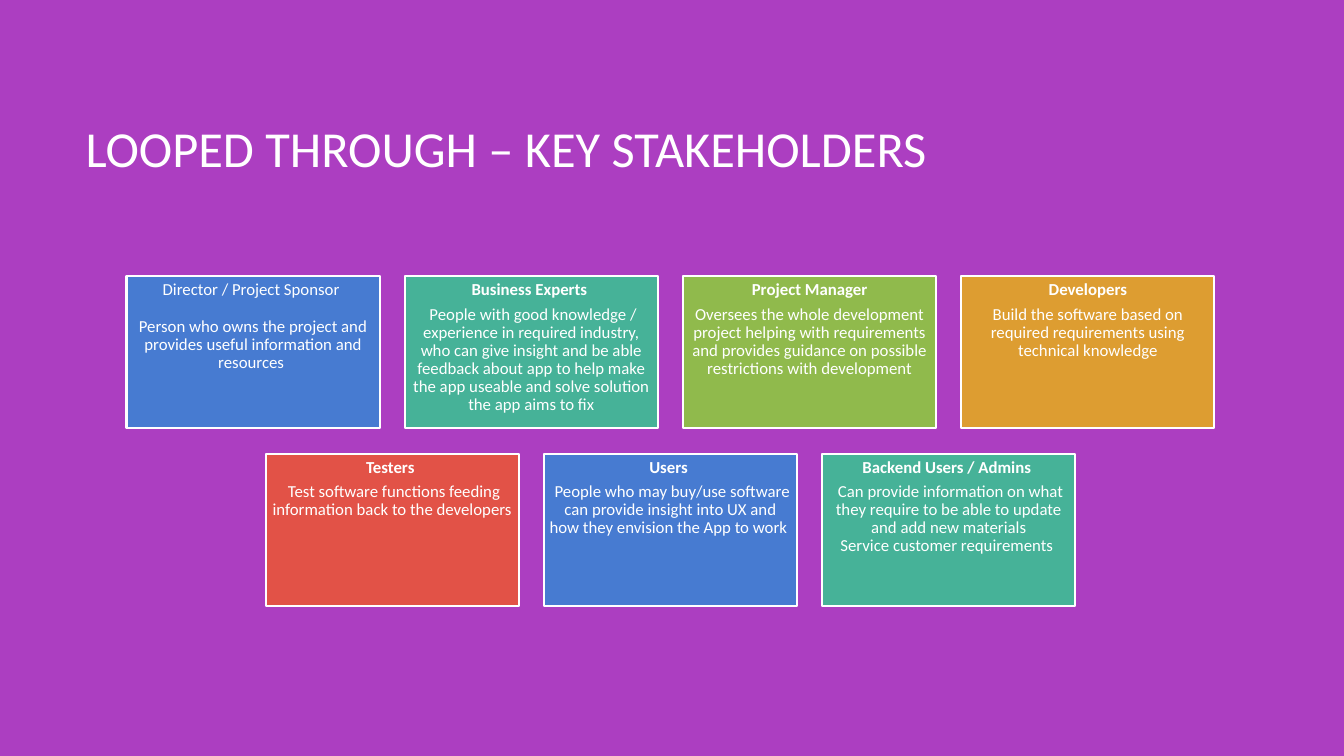
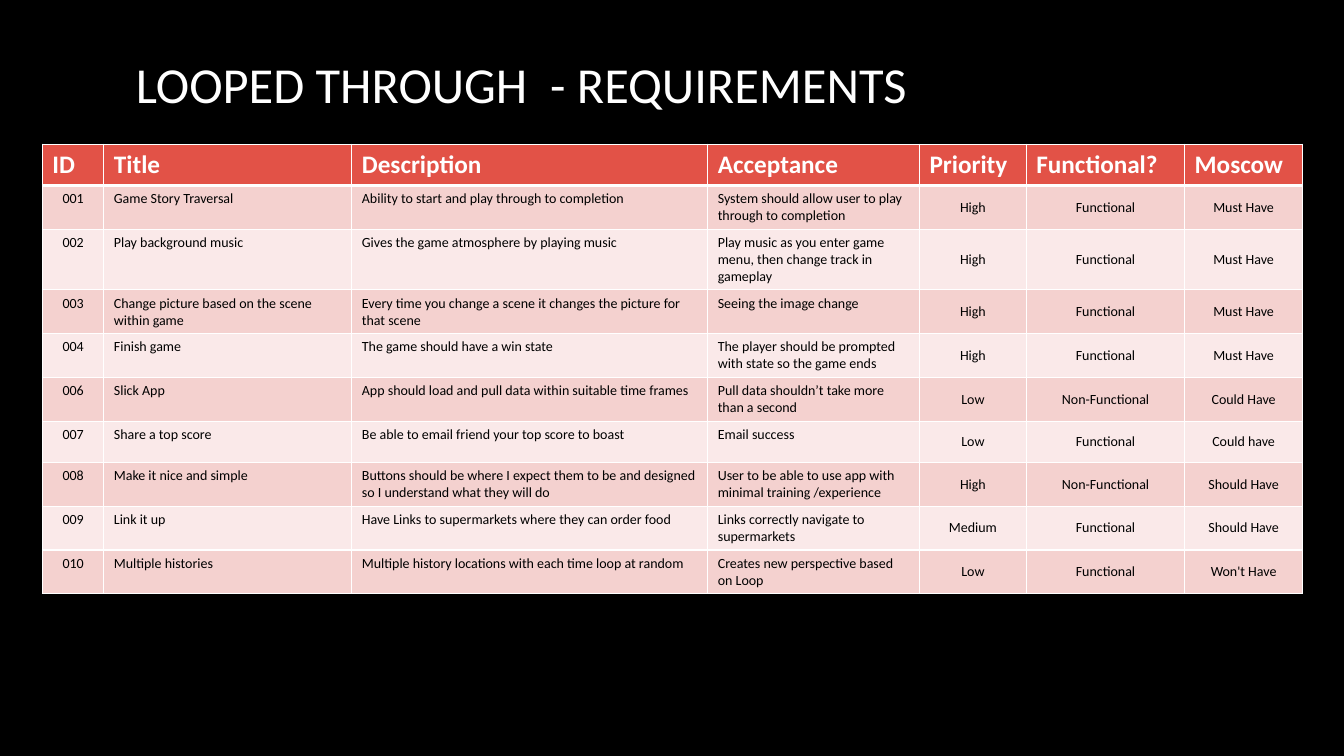
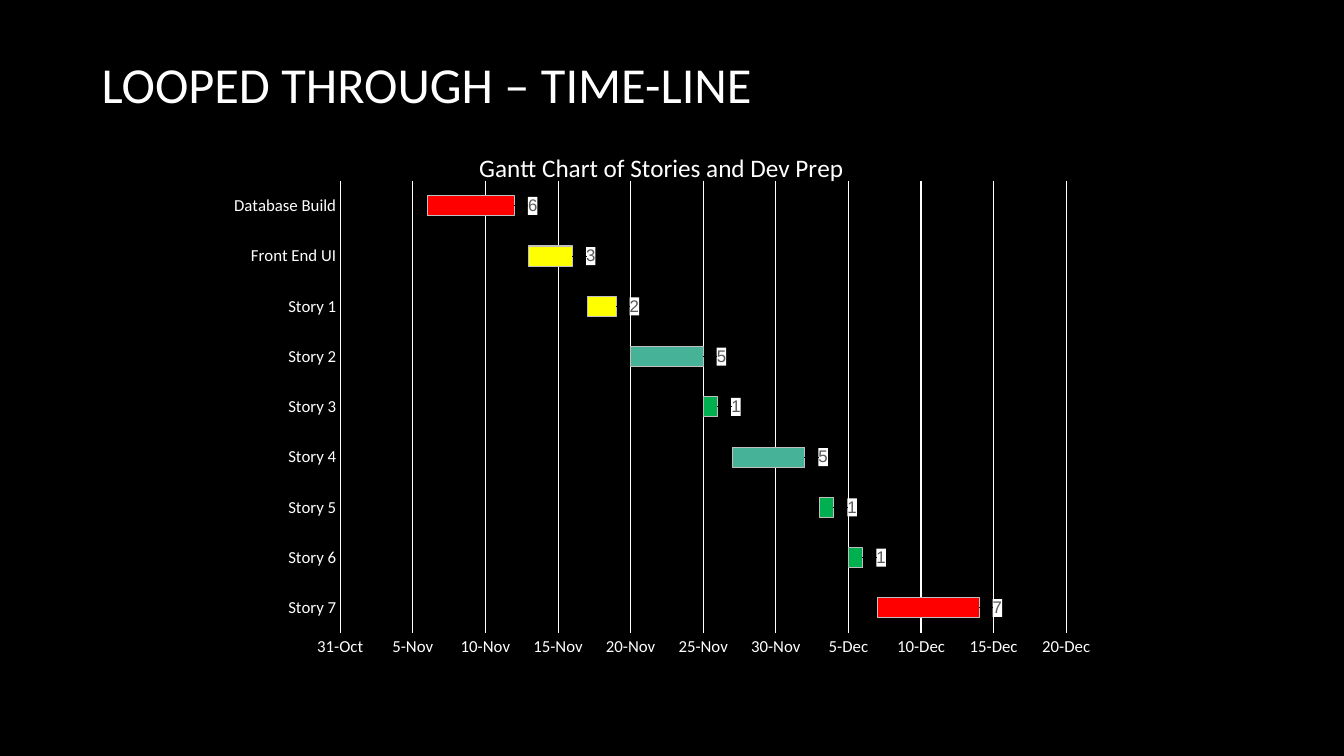
"""Build the three Looped Through project slides."""
from dataclasses import dataclass
from itertools import cycle

from lxml import etree
from pptx import Presentation
from pptx import util as u
from pptx.chart.data import CategoryChartData
from pptx.dml.color import RGBColor
from pptx.enum import chart as charts
from pptx.enum import shapes, text
from pptx.oxml.ns import qn


@dataclass(frozen=True)
class Theme:
    font: str = "Calibri"
    label_font: str = "Arial"
    white: str = "FFFFFF"
    black: str = "000000"
    purple: str = "AC3EC1"
    blue: str = "477BD1"
    teal: str = "46B298"
    lime: str = "90BA4C"
    amber: str = "DD9D31"
    coral: str = "E25247"
    band_dark: str = "F4D1CF"
    band_light: str = "FAE9E9"
    red: str = "FF0000"
    yellow: str = "FFFF00"
    green: str = "00B050"
    outline: str = "BFBFBF"
    label_grey: str = "595959"
    title_size: int = 36
    heading_size: int = 18
    body_size: int = 12
    small_size: int = 10


THEME = Theme()


class Deck:
    def __init__(self, theme):
        self.theme = theme
        self.prs = Presentation()
        self.prs.slide_width = u.Inches(13.33)
        self.prs.slide_height = u.Inches(7.5)
        self.slide = None

    def new_slide(self, background):
        self.slide = self.prs.slides.add_slide(self.prs.slide_layouts[6])
        self.paint(self.slide.background.fill, background)

    def paint(self, fill, color):
        fill.solid()
        fill.fore_color.rgb = RGBColor.from_string(color)

    def stroke(self, line, color, width):
        self.paint(line.fill, color)
        line.width = u.Pt(width)

    def style(self, font, size, color, bold=False, name=None):
        font.name = name or self.theme.font
        font.size = u.Pt(size)
        font.bold = bold
        font.color.rgb = RGBColor.from_string(color)

    def add_words(self, paragraph, words, size, color, bold=False):
        for number, line in enumerate(words.split("\n")):
            if number:
                paragraph.add_line_break()
            run = paragraph.add_run()
            run.text = line
            self.style(run.font, size, color, bold)

    def title(self, words, left, top, width, height):
        box = self.slide.shapes.add_textbox(*map(u.Inches, (left, top, width, height)))
        frame = box.text_frame
        frame.word_wrap = True
        frame.vertical_anchor = text.MSO_ANCHOR.MIDDLE
        self.add_words(frame.paragraphs[0], words,
                       self.theme.title_size, self.theme.white)

    def card(self, heading, body, at, color, bold=True, gap=4.5):
        card = self.slide.shapes.add_shape(
            shapes.MSO_SHAPE.RECTANGLE, *map(u.Inches, at))
        card.shadow.inherit = False
        self.paint(card.fill, color)
        self.stroke(card.line, self.theme.white, 1.5)
        frame = card.text_frame
        frame.word_wrap = True
        frame.vertical_anchor = text.MSO_ANCHOR.TOP
        frame.margin_left = frame.margin_right = u.Inches(0.05)
        frame.margin_top = frame.margin_bottom = u.Inches(0.05)
        for paragraph, words, strong in (
                (frame.paragraphs[0], heading, bold),
                (frame.add_paragraph(), body, False)):
            paragraph.alignment = text.PP_ALIGN.CENTER
            paragraph.line_spacing = 0.9
            paragraph.space_after = u.Pt(gap)
            self.add_words(paragraph, words,
                           self.theme.body_size, self.theme.white, strong)

    def borders(self, cell, **widths):
        properties = cell._tc.get_or_add_tcPr()
        for position, side in enumerate(("L", "R", "T", "B")):
            line = etree.Element(qn(f"a:ln{side}"), w=str(u.Pt(widths.get(side, 1))))
            fill = etree.SubElement(line, qn("a:solidFill"))
            etree.SubElement(fill, qn("a:srgbClr"), val=self.theme.white)
            properties.insert(position, line)

    def table(self, rows, left, top, widths, row_height, centered, middle):
        theme = self.theme
        grid = self.slide.shapes.add_table(
            len(rows), len(widths), u.Inches(left), u.Inches(top),
            u.Inches(sum(widths)), u.Inches(row_height * len(rows))).table
        for column, width in zip(grid.columns, widths):
            column.width = u.Inches(width)
        for r, row in enumerate(rows):
            grid.rows[r].height = u.Inches(row_height)
            header = r == 0
            band = theme.band_dark if r % 2 else theme.band_light
            for c, words in enumerate(row):
                cell = grid.cell(r, c)
                self.paint(cell.fill, theme.coral if header else band)
                self.borders(cell, B=3 if header else 1, T=3 if r == 1 else 1)
                paragraph = cell.text_frame.paragraphs[0]
                if header:
                    self.add_words(paragraph, words, theme.heading_size, theme.white, True)
                    continue
                self.add_words(paragraph, words, theme.small_size, theme.black)
                if c in centered:
                    paragraph.alignment = text.PP_ALIGN.CENTER
                if c in middle:
                    cell.vertical_anchor = text.MSO_ANCHOR.MIDDLE

    def place(self, parent, position, **values):
        for old in parent.findall(qn("c:layout")):
            parent.remove(old)
        layout = etree.Element(qn("c:layout"))
        manual = etree.SubElement(layout, qn("c:manualLayout"))
        for tag, value in values.items():
            etree.SubElement(manual, qn(f"c:{tag}"), val=str(value))
        parent.insert(position, layout)

    def gantt(self, heading, tasks, at, first_day, last_day):
        theme = self.theme
        names, starts, days, colors = zip(*tasks)
        data = CategoryChartData()
        data.categories = names
        data.add_series("Series 1", starts)
        data.add_series("Series 2", days)
        chart = self.slide.shapes.add_chart(
            charts.XL_CHART_TYPE.BAR_STACKED, *map(u.Inches, at), data).chart
        chart.has_legend = False
        self.style(chart.font, theme.small_size, theme.white)

        chart.has_title = True
        caption = chart.chart_title
        self.add_words(caption.text_frame.paragraphs[0], heading,
                       theme.heading_size, theme.white)
        self.place(caption._element, 1, xMode="edge", yMode="edge", x=0.29, y=0.04)
        self.place(chart._chartSpace.chart.plotArea, 0, layoutTarget="inner",
                   xMode="edge", yMode="edge", x=0.14, y=0.1, w=0.81, h=0.77)

        for axis in (chart.category_axis, chart.value_axis):
            axis.major_tick_mark = axis.minor_tick_mark = charts.XL_TICK_MARK.NONE
            self.style(axis.tick_labels.font, theme.body_size, theme.white)
        chart.category_axis.has_major_gridlines = False
        self.stroke(chart.category_axis.format.line, theme.white, 0.75)
        dates = chart.value_axis
        dates.minimum_scale, dates.maximum_scale = first_day, last_day
        dates.major_unit = 5
        dates.has_major_gridlines = True
        self.stroke(dates.major_gridlines.format.line, theme.white, 0.75)
        dates.format.line.fill.background()
        dates.tick_labels.number_format = r"d\-mmm"
        dates.tick_labels.number_format_is_linked = False

        plot = chart.plots[0]
        plot.vary_by_categories = False
        plot.gap_width, plot.overlap = 150, 100
        offset, duration = plot.series
        offset.format.fill.background()
        offset.format.line.fill.background()
        self.paint(duration.format.fill, theme.teal)
        duration.data_labels.show_value = True
        for index, color in enumerate(colors):
            point = duration.points[index]
            self.paint(point.format.fill, color)
            self.stroke(point.format.line, theme.outline, 0.75)
            label = point.data_label
            self.style(label.font, theme.body_size, theme.label_grey,
                       name=theme.label_font)
            label.position = charts.XL_LABEL_POSITION.INSIDE_END
        for label in duration.data_labels._element.findall(qn("c:dLbl")):
            self.place(label, 1, x=0.03, y=0)
            for old in label.findall(qn("c:spPr")):
                label.remove(old)
            backing = etree.Element(qn("c:spPr"))
            fill = etree.SubElement(backing, qn("a:solidFill"))
            etree.SubElement(fill, qn("a:srgbClr"), val=theme.white)
            label.insert(2, backing)


STAKEHOLDER_ROWS = [
    [("Director / Project Sponsor ",
      "Person who owns the project and provides useful information and resources "),
     ("Business Experts ",
      " People with good knowledge / experience in required industry, who can give "
      "insight and be able feedback about app to help make the app useable and solve "
      "solution the app aims to fix"),
     ("Project Manager",
      "Oversees the whole development project helping with requirements and provides "
      "guidance on possible restrictions with development"),
     ("Developers",
      "Build the software based on required requirements using technical knowledge")],
    [("Testers ",
      " Test software functions feeding information back to the developers "),
     ("Users ",
      " People who may buy/use software can provide insight into UX and how they "
      "envision the App to work "),
     ("Backend Users / Admins ",
      " Can provide information on what they require to be able to update and add new "
      "materials\nService customer requirements ")],
]

REQUIREMENTS = [
    ("ID", "Title", "Description", "Acceptance", "Priority", "Functional?", "Moscow"),
    ("001", "Game Story Traversal", "Ability to start and play through to completion",
     "System should allow user to play through to completion",
     "High", "Functional", "Must Have"),
    ("002", "Play background music", "Gives the game atmosphere by playing music",
     "Play music as you enter game menu, then change track in gameplay",
     "High", "Functional", "Must Have"),
    ("003", "Change picture based on the scene within game",
     "Every time you change a scene it changes the picture for that scene",
     "Seeing the image change", "High", "Functional", "Must Have"),
    ("004", "Finish game", "The game should have a win state",
     "The player should be prompted with state so the game ends",
     "High", "Functional", "Must Have"),
    ("006", "Slick App", "App should load and pull data within suitable time frames",
     "Pull data shouldn’t take more than a second",
     "Low", "Non-Functional", "Could Have"),
    ("007", "Share a top score", "Be able to email friend your top score to boast",
     "Email success", "Low", "Functional", "Could have"),
    ("008", "Make it nice and simple",
     "Buttons should be where I expect them to be and designed so I understand what "
     "they will do",
     "User to be able to use app with minimal training /experience",
     "High", "Non-Functional", "Should Have"),
    ("009", "Link it up", "Have Links to supermarkets where they can order food",
     "Links correctly navigate to supermarkets",
     "Medium", "Functional", "Should Have"),
    ("010", "Multiple histories",
     "Multiple history locations with each time loop at random",
     "Creates new perspective based on Loop", "Low", "Functional", "Won't Have"),
]

TASKS = [
    ("Story 7", 45267, 7, THEME.red),
    ("Story 6", 45265, 1, THEME.green),
    ("Story 5", 45263, 1, THEME.green),
    ("Story 4", 45257, 5, THEME.teal),
    ("Story 3", 45255, 1, THEME.green),
    ("Story 2", 45250, 5, THEME.teal),
    ("Story 1", 45247, 2, THEME.yellow),
    ("Front End UI", 45243, 3, THEME.yellow),
    ("Database Build", 45236, 6, THEME.red),
]


def stakeholders(deck):
    deck.new_slide(THEME.purple)
    deck.title("LOOPED THROUGH – KEY STAKEHOLDERS", 0.75, 0.67, 11.08, 1.59)
    width, height, gap, center, top = 2.51, 1.51, 0.25, 6.65, 2.74
    colors = cycle((THEME.blue, THEME.teal, THEME.lime, THEME.amber, THEME.coral))
    for r, row in enumerate(STAKEHOLDER_ROWS):
        left = center - (len(row) * (width + gap) - gap) / 2
        for c, (role, duty) in enumerate(row):
            at = (left + c * (width + gap), top + r * (height + gap), width, height)
            sponsor = r == c == 0
            deck.card(role, duty, at, next(colors),
                      bold=not sponsor, gap=13 if sponsor else 4.5)


def requirements(deck):
    deck.new_slide(THEME.black)
    deck.title("LOOPED THROUGH  - REQUIREMENTS", 1.25, 0.45, 10.8, 0.76)
    deck.table(REQUIREMENTS, 0.42, 1.43, (0.61, 2.46, 3.53, 2.1, 1.06, 1.57, 1.17),
               0.41, centered=(0, 4, 5, 6), middle=(4, 5, 6))


def timeline(deck):
    deck.new_slide(THEME.black)
    deck.title("LOOPED THROUGH – TIME-LINE", 0.91, 0.45, 11.47, 0.76)
    deck.gantt("Gantt Chart of Stories and Dev Prep", TASKS,
               (2.13, 1.21, 8.89, 5.83), 45230, 45280)


def main():
    deck = Deck(THEME)
    for build in (stakeholders, requirements, timeline):
        build(deck)
    deck.prs.save("out.pptx")


if __name__ == "__main__":
    main()
